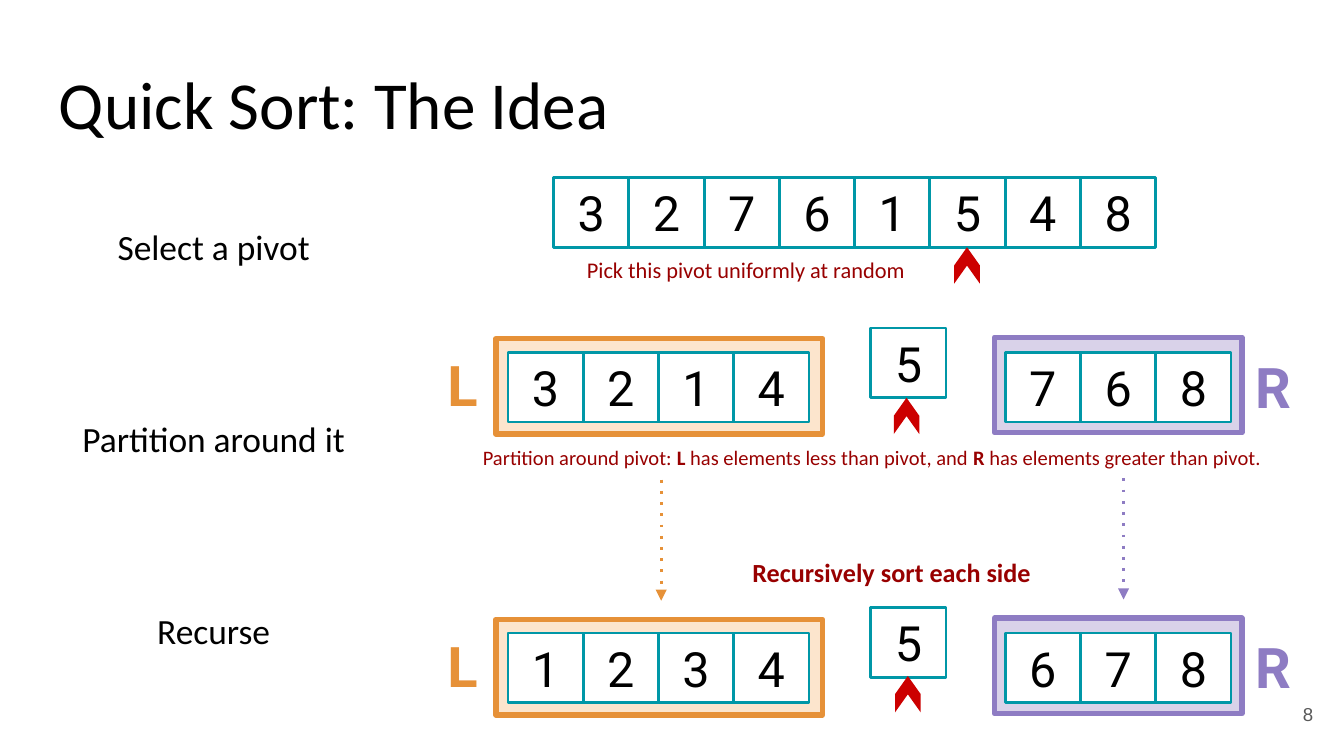
from typing import NamedTuple

from lxml import etree
from pptx import Presentation, util as u
from pptx.dml.color import RGBColor
from pptx.enum import shapes, text as t
from pptx.oxml import ns

TEAL, RED, DARK = "0097A7", "CC0000", "980000"
CELL_W, CELL_H = 0.56, 0.52
KINDS, ALIGN = shapes.MSO_SHAPE, t.PP_ALIGN


class Side(NamedTuple):
    name: str
    left: float
    width: float
    cells: float
    label: float
    lift: float
    line: str
    fill: str


LEFT = Side("L", 3.69, 2.43, 3.78, 3.23, 0, "E69138", "FCE5CD")
RIGHT = Side("R", 7.4, 1.84, 7.48, 9.24, 0.01, "8E7CC3", "D9D2E9")


class Step(NamedTuple):
    top: float
    left: str
    right: str
    pivot: float
    mark: tuple[float, float]


STEPS = [
    Step(2.52, "3214", "768", 2.44, (6.61, 3)),
    Step(4.61, "1234", "678", 4.52, (6.62, 5.07)),
]


def color(code: str) -> RGBColor:
    return RGBColor.from_string(code)


def write(shape, words: str, *, size: float, font="Calibri", ink="000000",
          bold=False, align=ALIGN.CENTER, anchor=t.MSO_ANCHOR.MIDDLE) -> None:
    """Fill a shape with one paragraph; words between asterisks are bold."""
    frame = shape.text_frame
    frame.word_wrap = True
    frame.vertical_anchor = anchor
    frame.margin_left = frame.margin_right = u.Inches(0.1)
    frame.margin_top = frame.margin_bottom = u.Inches(0.1)
    para = frame.paragraphs[0]
    para.alignment = align
    for i, part in enumerate(words.split("*")):
        run = para.add_run()
        run.text = part
        run.font.size = u.Pt(size)
        run.font.name = font
        run.font.bold = bold or i % 2 == 1
        run.font.color.rgb = color(ink)


def label(slide, words: str, x: float, y: float, w: float, h: float,
          **style) -> None:
    box = slide.shapes.add_textbox(*map(u.Inches, (x, y, w, h)))
    write(box, words, **style)


def block(slide, kind, x: float, y: float, w: float, h: float,
          fill: str, line="", width=0.0):
    shape = slide.shapes.add_shape(kind, *map(u.Inches, (x, y, w, h)))
    shape.shadow.inherit = False
    shape.fill.solid()
    shape.fill.fore_color.rgb = color(fill)
    if line:
        shape.line.color.rgb = color(line)
        shape.line.width = u.Pt(width)
    else:
        shape.line.fill.background()
    return shape


def cells(slide, digits: str, x: float, y: float) -> None:
    for i, digit in enumerate(digits):
        cell = block(slide, KINDS.RECTANGLE, x + i * CELL_W, y, CELL_W, CELL_H,
                     "FFFFFF", TEAL, 1.5)
        write(cell, digit, size=26, font="Roboto")


def marker(slide, x: float, y: float) -> None:
    mark = block(slide, KINDS.CHEVRON, x, y, 0.27, 0.19, RED)
    mark.adjustments[0] = 0.705
    mark.rotation = 270


def part(slide, side: Side, digits: str, top: float) -> None:
    """Draw one framed side of a partition with its letter."""
    block(slide, KINDS.RECTANGLE, side.left, top - side.lift, side.width, 0.71,
          side.fill, side.line, 3)
    cells(slide, digits, side.cells, top + 0.1)
    label(slide, side.name, side.label, top - 0.01 + side.lift, 0.51, 0.71,
          size=30, font="Roboto", ink=side.line, bold=True,
          align=ALIGN.LEFT, anchor=t.MSO_ANCHOR.TOP)


def arrow(slide, x: float, y: float, ink: str) -> None:
    """Draw a dotted arrow pointing down."""
    link = slide.shapes.add_connector(
        shapes.MSO_CONNECTOR.STRAIGHT, *map(u.Inches, (x, y, x, y + 0.9)))
    link.line.color.rgb = color(ink)
    link.line.width = u.Pt(1.5)
    props = link._element.spPr
    line = props.find(ns.qn("a:ln"))
    etree.SubElement(line, ns.qn("a:prstDash"), val="dot")
    etree.SubElement(line, ns.qn("a:tailEnd"), type="triangle")
    etree.SubElement(props, ns.qn("a:effectLst"))


def main() -> None:
    deck = Presentation()
    deck.slide_width = u.Inches(10)
    deck.slide_height = u.Inches(10 * 9 / 16)
    slide = deck.slides.add_slide(deck.slide_layouts[6])

    label(slide, "Quick Sort: The Idea", 0.34, 0.41, 9.32, 0.71,
          size=36, align=ALIGN.LEFT)
    label(slide, "8", 9.27, 5.1, 0.6, 0.43,
          size=10, font="Arial", ink="595959", align=ALIGN.RIGHT)
    for i, name in enumerate(["Select a pivot", "Partition around it", "Recurse"]):
        box = block(slide, KINDS.ROUNDED_RECTANGLE, 0.35, 1.3 + i * 1.43,
                    2.48, 1.06, "FFFFFF")
        write(box, name, size=19)

    cells(slide, "32761548", 4.12, 1.32)
    marker(slide, 7.06, 1.88)
    for step in STEPS:
        part(slide, LEFT, step.left, step.top)
        part(slide, RIGHT, step.right, step.top)
        cells(slide, "5", 6.48, step.pivot)
        marker(slide, *step.mark)

    label(slide, "Pick this pivot uniformly at random", 3.84, 1.79, 3.42, 0.43,
          size=12, ink=DARK)
    label(slide, "Partition around pivot: *L* has elements less than pivot, "
          "and *R* has elements greater than pivot. ", 3.42, 3.22, 6.17, 0.37,
          size=11, ink=DARK)
    label(slide, "Recursively sort each side", 4.93, 4.07, 3.41, 0.37,
          size=14, ink=DARK, bold=True)
    arrow(slide, 4.92, 3.57, LEFT.line)
    arrow(slide, 8.36, 3.56, RIGHT.line)
    deck.save("out.pptx")


if __name__ == "__main__":
    main()
